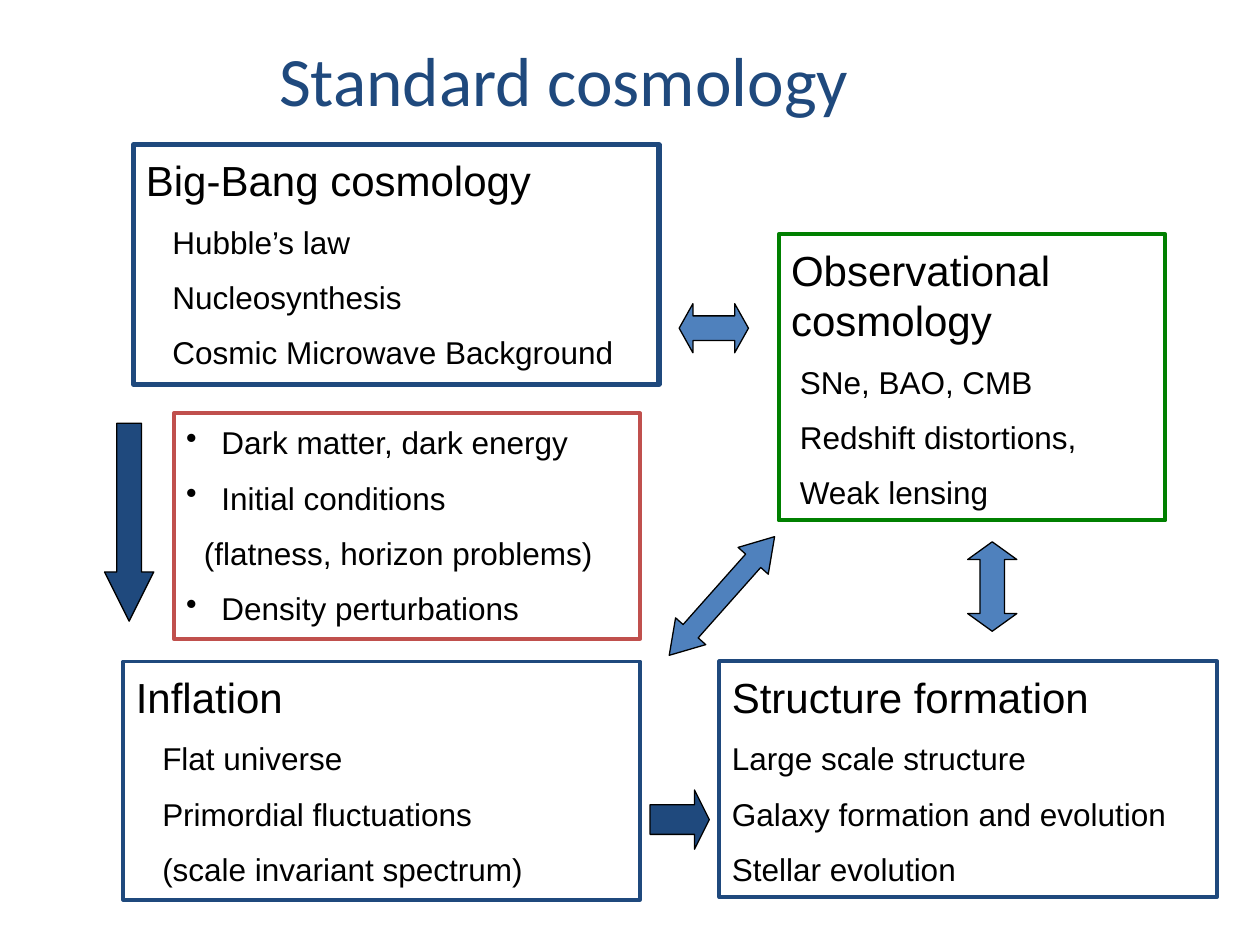
from dataclasses import dataclass

import pptx
import pptx.dml.color
import pptx.enum.shapes
import pptx.enum.text
import pptx.oxml
import pptx.oxml.ns
import pptx.util
from lxml import etree

RGBColor = pptx.dml.color.RGBColor
Shape = pptx.enum.shapes.MSO_SHAPE
Pt = pptx.util.Pt
Inches = pptx.util.Inches

NAVY = RGBColor(0x1F, 0x49, 0x7D)
BLUE = RGBColor(0x4F, 0x81, 0xBD)
RED = RGBColor(0xC0, 0x50, 0x4D)
GREEN = RGBColor(0x00, 0x80, 0x00)
BLACK = RGBColor(0x00, 0x00, 0x00)

COLUMNS, ROWS = 100, 75
SLIDE_WIDTH, SLIDE_HEIGHT = Inches(10), Inches(7.5)
HEADING_SIZE, BODY_SIZE = 24, 18
SPACE_WIDTH = 0.07
BULLET_INDENT = 0.21


@dataclass(frozen=True)
class Area:
    col: float
    row: float
    cols: float
    rows: float

    def emu(self) -> tuple[int, int, int, int]:
        x, y = SLIDE_WIDTH / COLUMNS, SLIDE_HEIGHT / ROWS
        return (round(self.col * x), round(self.row * y),
                round(self.cols * x), round(self.rows * y))


@dataclass(frozen=True)
class Line:
    text: str
    indent: int = 0
    size: float = BODY_SIZE
    bullet: bool = False


@dataclass(frozen=True)
class Topic:
    area: Area
    color: RGBColor
    lines: list[Line]
    weight: float = 2.25


@dataclass(frozen=True)
class Arrow:
    area: Area
    kind: Shape
    color: RGBColor
    head: float
    rotation: float = 0


def section(heading: str, indent: int, *items: str) -> list[Line]:
    return [Line(heading, size=HEADING_SIZE)] + [Line(item, indent) for item in items]


TOPICS = [
    Topic(Area(10.6, 11.5, 41.7, 19), NAVY, section(
        "Big-Bang cosmology", 3,
        "Hubble’s law", "Nucleosynthesis", "Cosmic Microwave Background"), 3),
    Topic(Area(9.8, 52.5, 41, 18.9), NAVY, section(
        "Inflation", 3,
        "Flat universe", "Primordial fluctuations", "(scale invariant spectrum)")),
    Topic(Area(13.8, 32.8, 37, 17.9), RED, [
        Line("Dark matter, dark energy", 1, bullet=True),
        Line("Initial conditions", 1, bullet=True),
        Line("(flatness, horizon problems)", 2),
        Line("Density perturbations", 1, bullet=True)]),
    Topic(Area(57.1, 52.5, 39.5, 18.7), NAVY, section(
        "Structure formation", 0,
        "Large scale structure", "Galaxy formation and evolution", "Stellar evolution")),
    Topic(Area(61.8, 18.6, 30.7, 22.7), GREEN, section(
        "Observational cosmology", 1,
        "SNe, BAO, CMB", "Redshift distortions,", "Weak lensing")),
]

ARROWS = [
    Arrow(Area(8.3, 33.6, 3.9, 15.7), Shape.DOWN_ARROW, NAVY, 1),
    Arrow(Area(53.9, 24.1, 5.5, 3.9), Shape.LEFT_RIGHT_ARROW, BLUE, 0.28),
    Arrow(Area(75.2, 44.6, 7.1, 3.9), Shape.LEFT_RIGHT_ARROW, BLUE, 0.36, 270),
    Arrow(Area(51, 45.7, 12.6, 3.2), Shape.LEFT_RIGHT_ARROW, BLUE, 0.8, 311.6),
    Arrow(Area(51.6, 62.7, 4.7, 4.7), Shape.RIGHT_ARROW, NAVY, 0.25),
]


def format_line(p, line: Line) -> None:
    p.text = line.text
    p.alignment = pptx.enum.text.PP_ALIGN.LEFT
    font = p.runs[0].font
    font.name, font.size, font.color.rgb = "Arial", Pt(line.size), BLACK
    hanging = BULLET_INDENT if line.bullet else 0
    pPr = p._p.get_or_add_pPr()
    pPr.set("marL", str(Inches(line.indent * SPACE_WIDTH + hanging)))
    if line.bullet:
        pPr.set("indent", str(-Inches(line.indent * SPACE_WIDTH + hanging)))
        bullet = etree.SubElement(pPr, pptx.oxml.ns.qn("a:buChar"))
        bullet.set("char", "•")


def add_topic(s, topic: Topic) -> None:
    sp = s.shapes.add_shape(Shape.RECTANGLE, *topic.area.emu())
    sp.shadow.inherit = False
    sp.fill.background()
    sp.line.color.rgb, sp.line.width = topic.color, Pt(topic.weight)
    tf = sp.text_frame
    tf.word_wrap = True
    tf.vertical_anchor = pptx.enum.text.MSO_ANCHOR.TOP
    tf.margin_top = Inches(0.08)
    for i, line in enumerate(topic.lines):
        p = tf.add_paragraph() if i else tf.paragraphs[0]
        p.space_before = Pt(10 if i else 0)
        format_line(p, line)


def add_arrow(s, arrow: Arrow) -> None:
    sp = s.shapes.add_shape(arrow.kind, *arrow.area.emu())
    sp.shadow.inherit = False
    sp.rotation = arrow.rotation
    sp.adjustments[0], sp.adjustments[1] = 0.5, arrow.head
    sp.fill.solid()
    sp.fill.fore_color.rgb = arrow.color
    sp.line.color.rgb, sp.line.width = BLACK, Pt(0.75)


def set_title(s, text: str, area: Area) -> None:
    sp = s.shapes.title
    sp.left, sp.top, sp.width, sp.height = area.emu()
    tf = sp.text_frame
    tf.text = text
    tf.vertical_anchor = pptx.enum.text.MSO_ANCHOR.MIDDLE
    p = tf.paragraphs[0]
    p.alignment = pptx.enum.text.PP_ALIGN.CENTER
    font = p.runs[0].font
    font.name, font.size, font.color.rgb = "Calibri", Pt(39.6), NAVY


def main() -> None:
    """Build the slide relating the parts of standard cosmology."""
    prs = pptx.Presentation()
    prs.slide_width, prs.slide_height = SLIDE_WIDTH, SLIDE_HEIGHT
    s = prs.slides.add_slide(prs.slide_layouts[5])
    set_title(s, "Standard cosmology", Area(3.5, 2, 82.5, 8.5))
    for topic in TOPICS:
        add_topic(s, topic)
    for arrow in ARROWS:
        add_arrow(s, arrow)
    prs.save("out.pptx")


if __name__ == "__main__":
    main()
